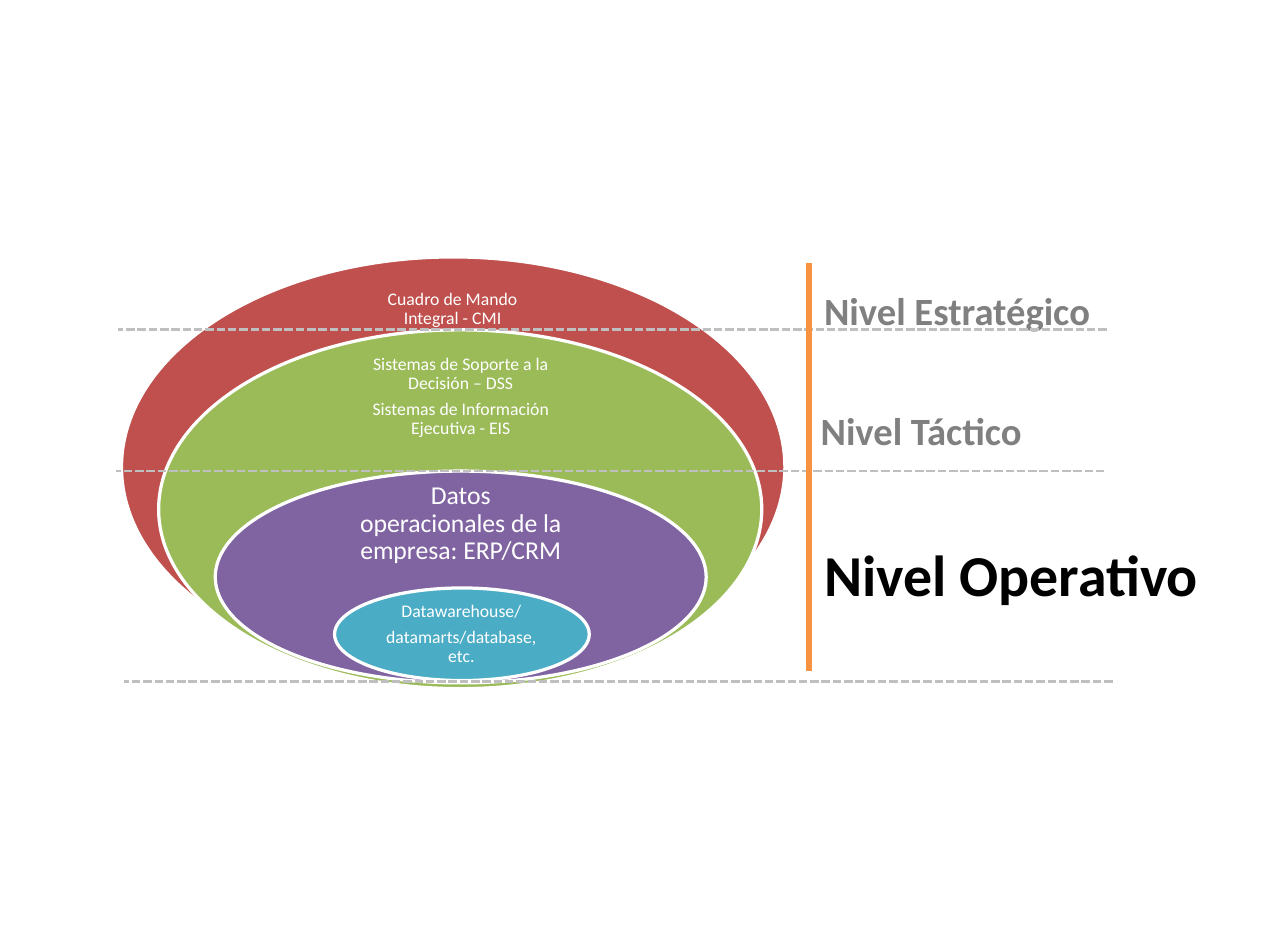
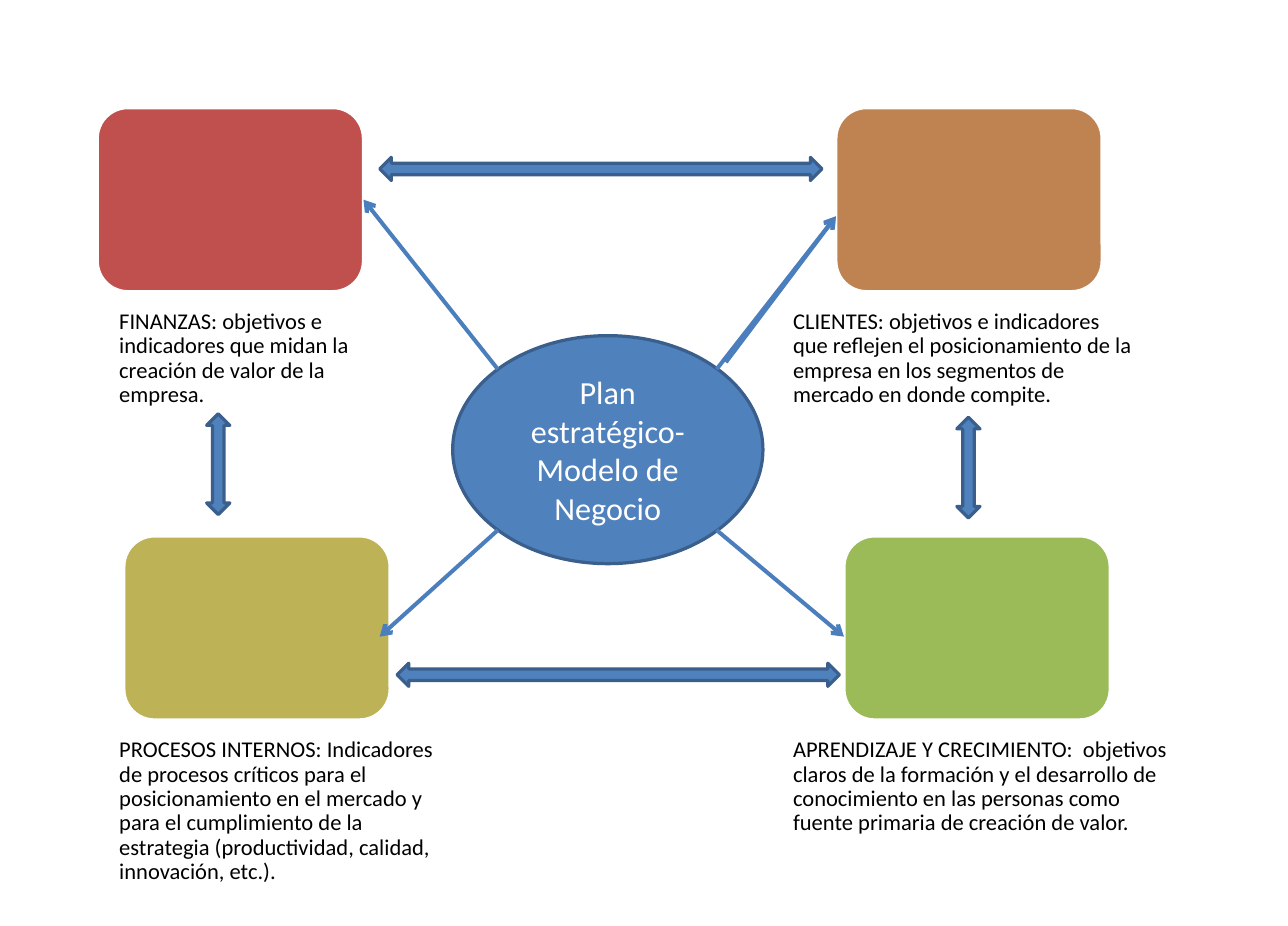
from dataclasses import dataclass

from lxml.etree import SubElement
from pptx import Presentation
from pptx.dml.color import RGBColor
from pptx.enum.dml import MSO_LINE
from pptx.enum.shapes import MSO_CONNECTOR, MSO_SHAPE
from pptx.enum.text import MSO_ANCHOR, PP_ALIGN
from pptx.oxml.ns import qn
from pptx.util import Inches, Pt


@dataclass(frozen=True)
class Theme:
    """Colours, font and type sizes of both slides."""
    font: str = "Calibri"
    white: str = "FFFFFF"
    black: str = "000000"
    gray: str = "808080"
    dash: str = "BFBFBF"
    orange: str = "F69240"
    red: str = "C0504D"
    green: str = "9BBB59"
    purple: str = "8064A2"
    teal: str = "4BACC6"
    brown: str = "BE8351"
    olive: str = "BDB255"
    blue: str = "4F81BD"
    navy: str = "3A5F8C"
    arrow: str = "4B7EBC"
    small: int = 11
    body: int = 14
    data: int = 16
    hub: int = 20
    label: int = 24
    focus: int = 36


THEME = Theme()


def color(code):
    """Turn a hex code into a colour."""
    return RGBColor.from_string(code)


def write(frame, text, size=THEME.body, ink=THEME.black, bold=False, align=PP_ALIGN.LEFT,
          anchor=MSO_ANCHOR.TOP, inset=(0.1, 0.05, 0.1, 0.05), lead=1.0, after=0):
    """Fill a text frame, one paragraph for each line of text."""
    frame.word_wrap = True
    frame.vertical_anchor = anchor
    sides = [Inches(side) for side in inset]
    frame.margin_left, frame.margin_top, frame.margin_right, frame.margin_bottom = sides
    for index, line in enumerate(text.split("\n")):
        para = frame.add_paragraph() if index else frame.paragraphs[0]
        para.alignment = align
        para.line_spacing = lead
        para.space_after = Pt(after)
        run = para.add_run()
        run.text = line
        run.font.name = THEME.font
        run.font.size = Pt(size)
        run.font.bold = bold
        run.font.color.rgb = color(ink)


class Deck:
    """Holds the theme and the current slide."""

    def __init__(self, theme):
        """Start an empty deck."""
        self.theme = theme
        self.file = Presentation()
        self.file.slide_width = Inches(89 / 8)
        self.file.slide_height = Inches(8)
        self.slide = None

    def page(self):
        """Add a blank slide."""
        self.slide = self.file.slides.add_slide(self.file.slide_layouts[6])

    def text(self, box, words, **style):
        """Add a text box."""
        area = self.slide.shapes.add_textbox(*map(Inches, box))
        write(area.text_frame, words, **style)

    def shape(self, kind, box, fill, edge=THEME.white, turn=0):
        """Add a filled preset shape."""
        item = self.slide.shapes.add_shape(kind, *map(Inches, box))
        item.shadow.inherit = False
        item.fill.solid()
        item.fill.fore_color.rgb = color(fill)
        item.line.color.rgb = color(edge)
        item.line.width = Pt(2)
        item.rotation = turn
        return item

    def line(self, start, end, ink, width, dash=None, head=False):
        """Add a straight line, with an arrowhead if asked."""
        item = self.slide.shapes.add_connector(
            MSO_CONNECTOR.STRAIGHT, *map(Inches, (*start, *end)))
        item.line.color.rgb = color(ink)
        item.line.width = Pt(width)
        if dash:
            item.line.dash_style = dash
        props = item.element.spPr
        if head:
            SubElement(props.find(qn("a:ln")), qn("a:tailEnd"), type="arrow")
        SubElement(props, qn("a:effectLst"))
        return item

    def double(self, box, turn=0):
        """Add a block arrow with two heads."""
        self.shape(MSO_SHAPE.LEFT_RIGHT_ARROW, box, self.theme.blue, self.theme.navy, turn)


def levels(deck):
    """Draw the nested systems beside the three levels."""
    look = deck.theme
    deck.page()
    deck.text((7.02, 2.43, 4.53, 0.5), "Nivel Estratégico",
              size=look.label, ink=look.gray, bold=True)
    rings = [
        ((1.05, 2.22, 5.73, 3.63), look.red, (3.11, 2.4, 1.6, 0.54), look.small,
         "Cuadro de Mando Integral - CMI"),
        ((1.37, 2.85, 5.21, 3.1), look.green, (3.07, 3.15, 1.82, 0.56), look.small,
         "Sistemas de Soporte a la Decisión – DSS\nSistemas de Información Ejecutiva - EIS"),
        ((1.86, 4.07, 4.24, 1.83), look.purple, (2.99, 4.32, 1.98, 0.41), look.data,
         "Datos operacionales de la empresa: ERP/CRM"),
        ((2.89, 5.08, 2.2, 0.8), look.teal, (3.21, 5.28, 1.55, 0.4), look.small,
         "Datawarehouse/\ndatamarts/database, etc."),
    ]
    for oval, fill, box, size, words in rings:
        deck.shape(MSO_SHAPE.OVAL, oval, fill)
        deck.text(box, words, size=size, ink=look.white, align=PP_ALIGN.CENTER,
                  anchor=MSO_ANCHOR.MIDDLE, inset=(0.09,) * 4, lead=0.9, after=4)

    deck.text((6.99, 3.47, 3.77, 0.5), "Nivel Táctico",
              size=look.label, ink=look.gray, bold=True)
    deck.text((7.02, 4.6, 4.1, 0.71), "Nivel Operativo", size=look.focus, bold=True)

    for left, top in ((1.02, 2.85), (1, 4.07), (1.07, 5.89)):
        deck.line((left + 8.54, top), (left, top), look.dash, 1.75, MSO_LINE.SQUARE_DOT)
    deck.line((6.99, 2.27), (6.99, 5.8), look.orange, 4)


def plan(deck):
    """Draw the four views around the strategic plan."""
    look = deck.theme
    deck.page()
    views = [
        (0.84, 0.93, look.red, 0.92, 2.69,
         "FINANZAS: objetivos e indicadores que midan la creación de valor de la empresa."),
        (7.22, 0.93, look.brown, 6.74, 3.19,
         "CLIENTES: objetivos e indicadores que reflejen el posicionamiento de la empresa "
         "en los segmentos de mercado en donde compite."),
        (1.07, 4.63, look.olive, 0.92, 3.07,
         "PROCESOS INTERNOS: Indicadores de procesos críticos para el posicionamiento en el "
         "mercado y para el cumplimiento de la estrategia (productividad, calidad, "
         "innovación, etc.)."),
        (7.29, 4.63, look.green, 6.74, 3.48,
         "APRENDIZAJE Y CRECIMIENTO:  objetivos claros de la formación y el desarrollo de "
         "conocimiento en las personas como fuente primaria de creación de valor."),
    ]
    cards = []
    for left, top, fill, edge, width, words in views:
        cards.append(deck.shape(MSO_SHAPE.ROUNDED_RECTANGLE, (left, top, 2.3, 1.59), fill))
        deck.text((edge, top + 1.64, width, 1.2), words,
                  inset=(0.11, 0.11, 0.11, 0), lead=0.9, after=4)

    hub = deck.shape(MSO_SHAPE.OVAL, (3.91, 2.9, 2.68, 1.97), look.blue, look.navy)
    write(hub.text_frame, "Plan estratégico- Modelo de Negocio", size=look.hub,
          ink=look.white, align=PP_ALIGN.CENTER, anchor=MSO_ANCHOR.MIDDLE)

    rays = [
        ((6.19, 3.19), (7.22, 1.87), None),
        ((4.3, 3.19), (3.14, 1.72), cards[0]),
        ((6.19, 4.58), (7.29, 5.5), None),
        ((6.27, 3.13), (7.22, 1.87), None),
        ((4.3, 4.58), (3.28, 5.5), None),
    ]
    for start, end, card in rays:
        ray = deck.line(start, end, look.arrow, 2.5, head=True)
        if card:
            ray.end_connect(card, 3)

    for left, top in ((3.28, 1.36), (3.43, 5.73)):
        deck.double((left, top, 3.82, 0.2))
    for left, top in ((1.45, 3.91), (7.93, 3.94)):
        deck.double((left, top, 0.87, 0.2), turn=90)


def main():
    """Build and save both slides."""
    deck = Deck(THEME)
    levels(deck)
    plan(deck)
    deck.file.save("out.pptx")


if __name__ == "__main__":
    main()
